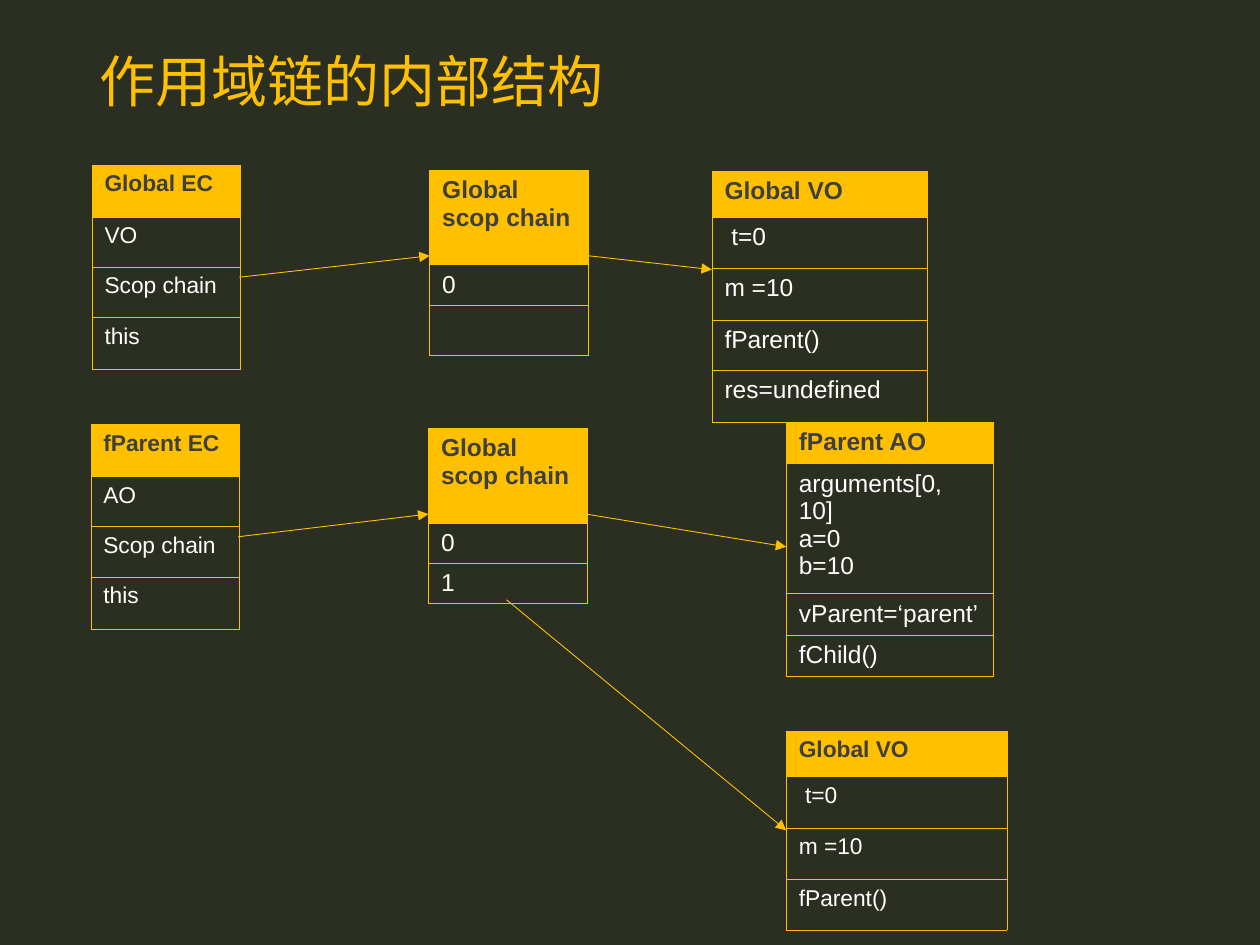
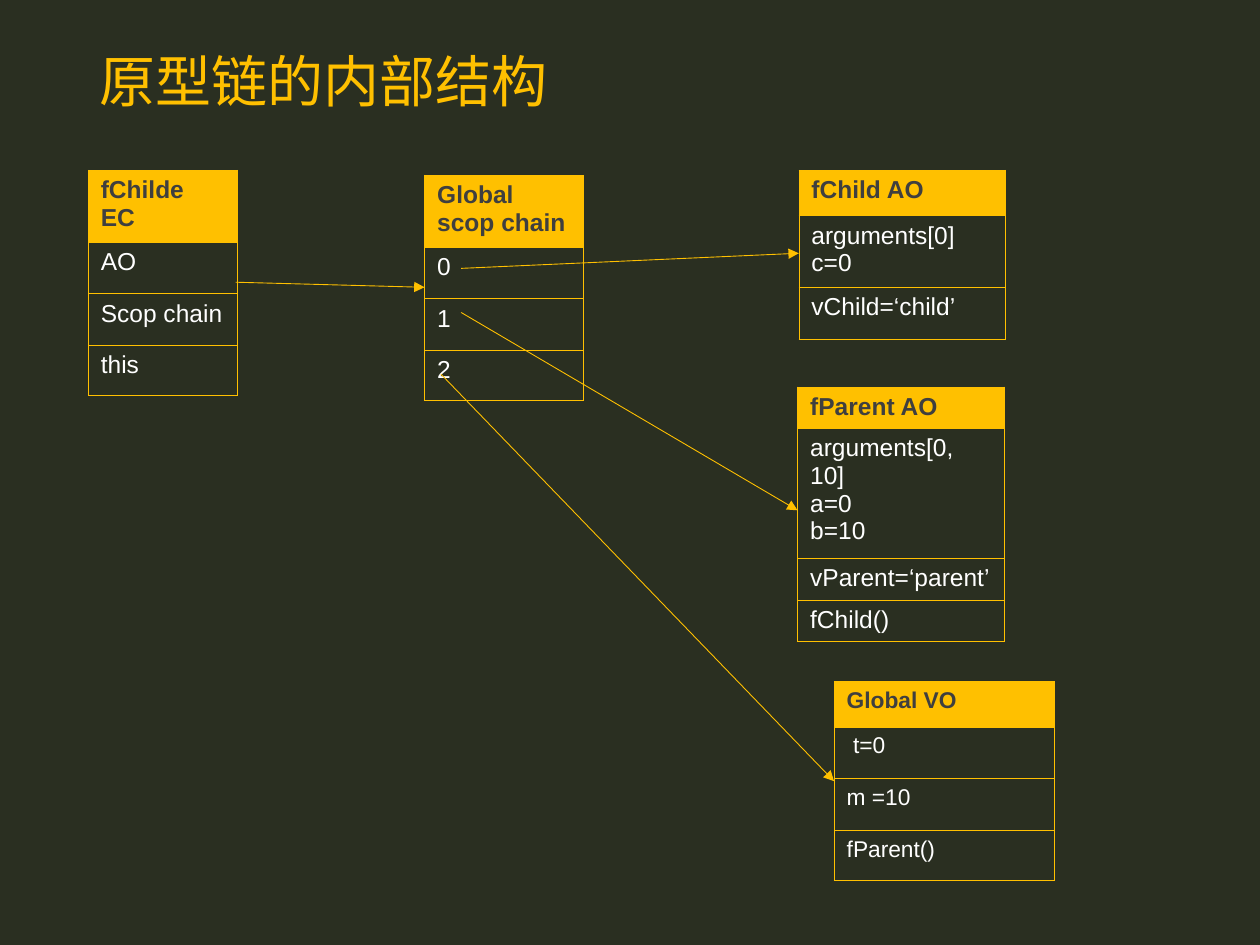
import pptx
import pptx.util
import pptx.dml.color
import pptx.enum.shapes
import pptx.enum.text
import pptx.oxml
import pptx.oxml.ns
import lxml.etree

Inches = pptx.util.Inches
Pt = pptx.util.Pt
qn = pptx.oxml.ns.qn

COLORS = {"background": "2A2F21", "accent": "FFC000", "header": "3F3F3F", "body": "FFFFFF"}
LATIN = "Arial"
CJK = "Noto Sans CJK SC"
TITLE_BOX = (0.69, 0.22, 8.63, 0.9)

EC_ROWS = [0.41, 0.4, 0.4, 0.41]
TALL_EC_ROWS = [0.57, 0.41, 0.41, 0.4]
VO_ROWS = [0.36, 0.41, 0.41, 0.4]
CHAIN_HEAD = "Global scop chain"
VO_CELLS = ["Global VO", " t=0", "m =10", "fParent()"]
PARENT_AO = {
    "width": 1.64, "size": 14, "rows": [0.33, 1.03, 0.33, 0.33],
    "cells": ["fParent AO", "arguments[0, 10]\na=0\nb=10", "vParent=‘parent’", "fChild()"],
}
GLOBAL_VO = {"width": 1.75, "size": 13, "rows": VO_ROWS, "cells": VO_CELLS}


def context(name, variable, size, rows):
    return {"width": 1.18, "size": size, "rows": rows,
            "cells": [name, variable, "Scop chain", "this"]}


def chain(entries, rows):
    return {"width": 1.26, "size": 14, "rows": rows, "cells": [CHAIN_HEAD] + entries}


SLIDES = [
    {
        "title": "作用域链的内部结构",
        "tables": [
            ((0.73, 1.31), context("Global EC", "VO", 13, EC_ROWS)),
            ((3.41, 1.35), chain(["0", ""], [0.75, 0.32, 0.4])),
            ((5.65, 1.36), {"width": 1.71, "size": 14, "rows": VO_ROWS + [0.41],
                            "cells": VO_CELLS + ["res=undefined"]}),
            ((0.72, 3.37), context("fParent EC", "AO", 13, EC_ROWS)),
            ((3.4, 3.4), chain(["0", "1"], [0.75, 0.32, 0.32])),
            ((6.24, 5.8), GLOBAL_VO),
            ((6.24, 3.35), PARENT_AO),
        ],
        "arrows": [
            (4.67, 2.03, 5.65, 2.14),
            (1.9, 2.2, 3.41, 2.03),
            (4.02, 4.76, 6.24, 6.59),
            (1.89, 4.26, 3.4, 4.08),
            (4.65, 4.08, 6.24, 4.34),
        ],
    },
    {
        "title": "原型链的内部结构",
        "tables": [
            ((0.7, 1.35), context("fChilde EC", "AO", 14, TALL_EC_ROWS)),
            ((3.37, 1.39), chain(["0", "1", "2"], TALL_EC_ROWS)),
            ((6.34, 1.35), {"width": 1.64, "size": 14, "rows": [0.36, 0.57, 0.41],
                            "cells": ["fChild AO", "arguments[0]\nc=0", "vChild=‘child’"]}),
            ((6.33, 3.07), PARENT_AO),
            ((6.62, 5.41), GLOBAL_VO),
        ],
        "arrows": [
            (1.87, 2.24, 3.37, 2.28),
            (3.66, 2.13, 6.34, 2.01),
            (3.5, 2.97, 6.62, 6.2),
            (3.66, 2.48, 6.33, 4.05),
        ],
    },
]


def rgb(name):
    return pptx.dml.color.RGBColor.from_string(COLORS[name])


def write(tf, text, size, color, font=LATIN, bold=False, spacing=1.0):
    for i, line in enumerate(text.split("\n")):
        p = tf.paragraphs[0] if i == 0 else tf.add_paragraph()
        p.alignment = pptx.enum.text.PP_ALIGN.LEFT
        p.line_spacing = spacing
        p.font.size = Pt(size)
        if not line:
            continue
        r = p.add_run()
        r.text = line
        r.font.size = Pt(size)
        r.font.bold = bold
        r.font.name = font
        r.font.color.rgb = rgb(color)
        ea = lxml.etree.SubElement(r.font._element, qn("a:ea"))
        ea.set("typeface", CJK)


def add_borders(cell):
    tcPr = cell._tc.get_or_add_tcPr()
    for side in ("lnL", "lnR", "lnT", "lnB"):
        ln = lxml.etree.SubElement(tcPr, qn("a:" + side), w=str(Pt(0.23)))
        fill = lxml.etree.SubElement(ln, qn("a:solidFill"))
        lxml.etree.SubElement(fill, qn("a:srgbClr"), val=COLORS["accent"])


def add_box(s, at, box):
    rows = box["rows"]
    frame = s.shapes.add_table(len(rows), 1, Inches(at[0]), Inches(at[1]),
                               Inches(box["width"]), Inches(sum(rows)))
    table = frame.table
    table.horz_banding = False
    for i, (height, text) in enumerate(zip(rows, box["cells"])):
        table.rows[i].height = Inches(height)
        cell = table.cell(i, 0)
        add_borders(cell)
        if i == 0:
            cell.fill.solid()
            cell.fill.fore_color.rgb = rgb("accent")
        else:
            cell.fill.background()
        write(cell.text_frame, text, box["size"], "body" if i else "header", bold=i == 0)


def add_arrow(s, ends):
    line = s.shapes.add_connector(pptx.enum.shapes.MSO_CONNECTOR.STRAIGHT,
                                  *[Inches(v) for v in ends])
    line.line.color.rgb = rgb("accent")
    line.line.width = Pt(0.51)
    lxml.etree.SubElement(line.line._get_or_add_ln(), qn("a:tailEnd"), type="triangle")
    lxml.etree.SubElement(line._element.spPr, qn("a:effectLst"))


def add_title(s, text):
    sp = s.shapes.title
    sp.left, sp.top, sp.width, sp.height = [Inches(v) for v in TITLE_BOX]
    sp.text_frame.vertical_anchor = pptx.enum.text.MSO_ANCHOR.MIDDLE
    write(sp.text_frame, text, 32, "accent", font=CJK, spacing=0.9)


prs = pptx.Presentation()
prs.slide_width, prs.slide_height = Inches(10), Inches(7.5)
background = prs.slide_master.background.fill
background.solid()
background.fore_color.rgb = rgb("background")

for content in SLIDES:
    s = prs.slides.add_slide(prs.slide_layouts.get_by_name("Title Only"))
    add_title(s, content["title"])
    for at, box in content["tables"]:
        add_box(s, at, box)
    for ends in content["arrows"]:
        add_arrow(s, ends)

prs.save("out.pptx")
